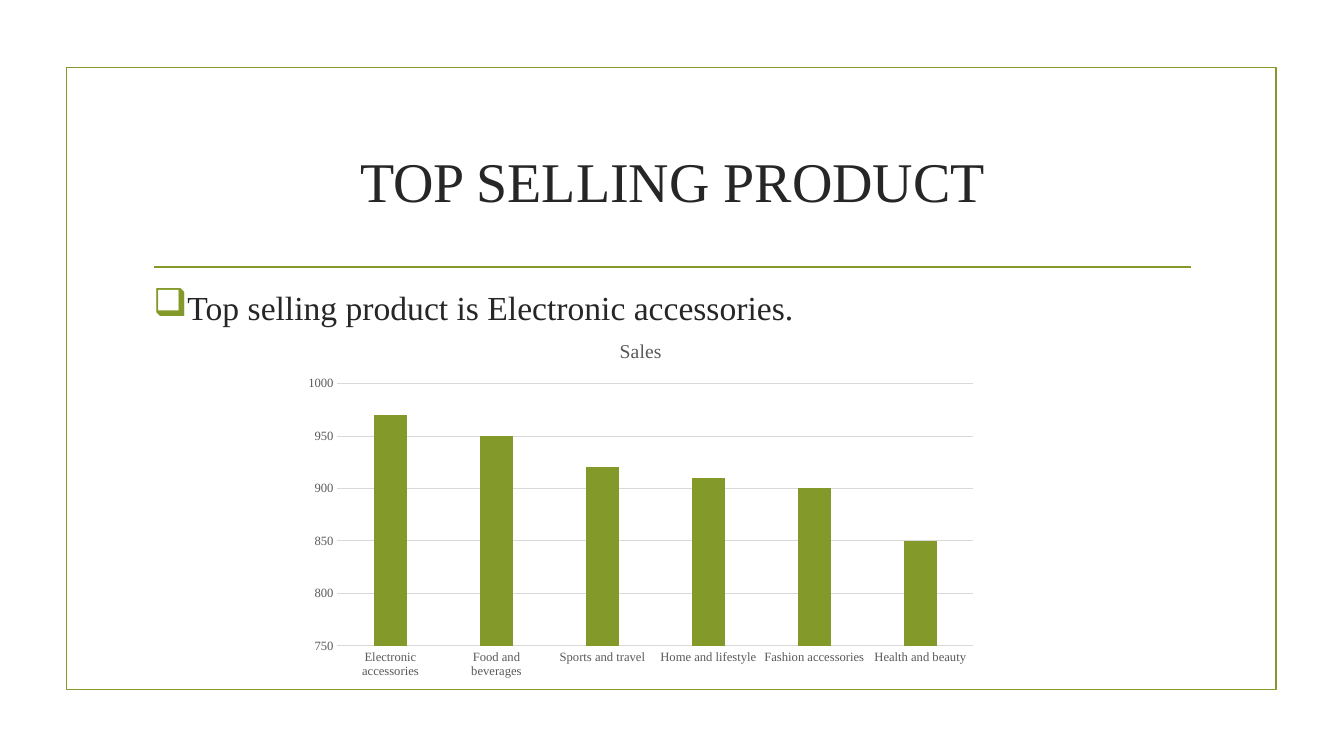
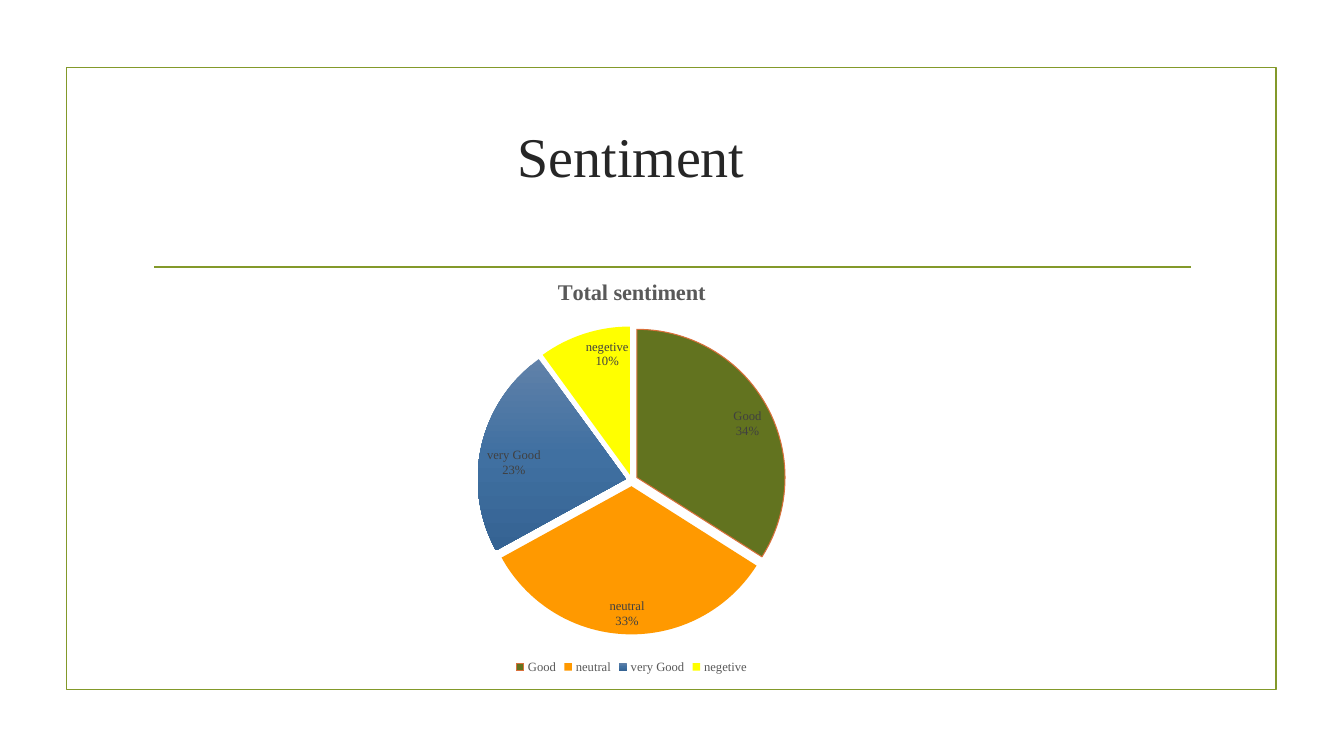
import copy

import pptx
import pptx.chart.data
import pptx.dml.color
import pptx.enum.chart
import pptx.enum.shapes
import pptx.enum.text
import pptx.oxml
import pptx.oxml.ns
import pptx.util

Inches = pptx.util.Inches
Pt = pptx.util.Pt
RGBColor = pptx.dml.color.RGBColor
qn = pptx.oxml.ns.qn

OLIVE = RGBColor(0x83, 0x99, 0x2A)
DARK_OLIVE = RGBColor(0x62, 0x73, 0x1F)
ORANGE = RGBColor(0xFF, 0x99, 0x00)
RUST = RGBColor(0xD9, 0x70, 0x3A)
YELLOW = RGBColor(0xFF, 0xFF, 0x00)
BLUES = [
    (0, RGBColor(0x60, 0x81, 0xA9)),
    (0.5, RGBColor(0x40, 0x70, 0xA1)),
    (1, RGBColor(0x35, 0x63, 0x93)),
]
INK = RGBColor(0x26, 0x26, 0x26)
LABEL_GRAY = RGBColor(0x40, 0x40, 0x40)
CHART_GRAY = RGBColor(0x59, 0x59, 0x59)
GRID_GRAY = RGBColor(0xD9, 0xD9, 0xD9)
FONT = "Times New Roman"


def apply(target, values):
    for name, value in values.items():
        setattr(target, name, value)


def add_xml(parent, tag, **attributes):
    element = pptx.oxml.parse_xml(f"<{tag} {pptx.oxml.ns.nsdecls(tag[0])}/>")
    for name, value in attributes.items():
        element.set(name, str(value))
    parent.append(element)
    return element


class Deck:
    def __init__(self):
        self.presentation = pptx.Presentation()
        apply(self.presentation, {"slide_width": Inches(13.33), "slide_height": Inches(7.5)})
        self.slide = None

    def style_font(self, font, size, color, bold=False):
        apply(font, {"name": FONT, "size": Pt(size), "bold": bold})
        font.color.rgb = color

    def style_line(self, line, color, width):
        line.color.rgb = color
        line.width = Pt(width)

    def add_slide(self, title, left, top):
        self.slide = self.presentation.slides.add_slide(self.presentation.slide_layouts[5])
        self.add_frame()
        self.add_rule()
        shape = self.slide.shapes.title
        apply(shape, {
            "left": Inches(left), "top": Inches(top),
            "width": Inches(10.5), "height": Inches(1.43),
        })
        frame = shape.text_frame
        apply(frame, {
            "text": title, "word_wrap": True,
            "auto_size": pptx.enum.text.MSO_AUTO_SIZE.NONE,
            "vertical_anchor": pptx.enum.text.MSO_ANCHOR.MIDDLE,
        })
        paragraph = frame.paragraphs[0]
        paragraph.alignment = pptx.enum.text.PP_ALIGN.CENTER
        self.style_font(paragraph.runs[0].font, 40, INK)

    def add_frame(self):
        frame = self.slide.shapes.add_shape(
            pptx.enum.shapes.MSO_SHAPE.RECTANGLE,
            Inches(0.66), Inches(0.67), Inches(12), Inches(6.17),
        )
        frame.shadow.inherit = False
        frame.fill.background()
        self.style_line(frame.line, OLIVE, 1.25)

    def add_rule(self):
        rule = self.slide.shapes.add_connector(
            pptx.enum.shapes.MSO_CONNECTOR.STRAIGHT,
            Inches(1.53), Inches(2.65), Inches(11.81), Inches(2.65),
        )
        self.style_line(rule.line, OLIVE, 1.25)
        add_xml(rule._element.spPr, "a:effectLst")

    def add_bullet(self, text, left, top, width, height):
        box = self.slide.shapes.add_textbox(
            Inches(left), Inches(top), Inches(width), Inches(height)
        )
        box.text_frame.word_wrap = True
        paragraph = box.text_frame.paragraphs[0]
        apply(paragraph, {"text": text, "space_before": Pt(5), "space_after": Pt(6)})
        self.style_font(paragraph.runs[0].font, 24, INK)
        properties = paragraph._p.get_or_add_pPr()
        apply_indent = {"marL": Inches(0.31), "indent": -Inches(0.31)}
        for name, value in apply_indent.items():
            properties.set(name, str(value))
        add_xml(add_xml(properties, "a:buClr"), "a:srgbClr", val=OLIVE)
        add_xml(properties, "a:buSzPct", val=115000)
        add_xml(properties, "a:buChar", char="❑")

    def add_chart(self, kind, title, points, box, title_size, bold=False):
        data = pptx.chart.data.CategoryChartData()
        data.categories = points.keys()
        data.add_series(title, points.values())
        chart = self.slide.shapes.add_chart(kind, *map(Inches, box), data).chart
        self.style_font(chart.font, 10, RGBColor(0, 0, 0))
        chart.has_title = True
        frame = chart.chart_title.text_frame
        frame.text = title
        self.style_font(frame.paragraphs[0].runs[0].font, title_size, CHART_GRAY, bold)
        return chart

    def add_columns(self, title, points, box):
        chart = self.add_chart(
            pptx.enum.chart.XL_CHART_TYPE.COLUMN_CLUSTERED, title, points, box, 14
        )
        chart.has_legend = False
        plot = chart.plots[0]
        apply(plot, {"gap_width": 219, "overlap": -27, "vary_by_categories": False})
        fill = plot.series[0].format.fill
        fill.solid()
        fill.fore_color.rgb = OLIVE
        for axis in (chart.category_axis, chart.value_axis):
            axis.major_tick_mark = pptx.enum.chart.XL_TICK_MARK.NONE
            self.style_font(axis.tick_labels.font, 9, CHART_GRAY)
        self.style_line(chart.category_axis.format.line, GRID_GRAY, 0.75)
        axis = chart.value_axis
        apply(axis, {"minimum_scale": 750, "maximum_scale": 1000, "major_unit": 50})
        axis.format.line.fill.background()
        self.style_line(axis.major_gridlines.format.line, GRID_GRAY, 0.75)

    def add_pie(self, title, points, fills, box):
        chart = self.add_chart(
            pptx.enum.chart.XL_CHART_TYPE.PIE, title, points, box, 16, True
        )
        chart.has_legend = True
        apply(chart.legend, {
            "position": pptx.enum.chart.XL_LEGEND_POSITION.BOTTOM,
            "include_in_layout": False,
        })
        self.style_font(chart.legend.font, 9, CHART_GRAY)
        plot = chart.plots[0]
        plot.vary_by_categories = True
        series = plot.series[0]
        for index, color in enumerate(fills):
            fill = series.points[index].format.fill
            if isinstance(color, list):
                self.fill_gradient(fill, series, color)
            else:
                fill.solid()
                fill.fore_color.rgb = color
        self.style_line(series.points[0].format.line, RUST, 0.75)
        explosion = add_xml(series._element, "c:explosion", val=4)
        series._element.find(qn("c:tx")).addnext(explosion)
        plot.has_data_labels = True
        labels = plot.data_labels
        apply(labels, {
            "show_percentage": True, "show_category_name": True, "show_value": False,
            "number_format": "0%", "number_format_is_linked": False,
            "position": pptx.enum.chart.XL_LABEL_POSITION.INSIDE_END,
        })
        self.style_font(labels.font, 9, LABEL_GRAY)

    def fill_gradient(self, fill, series, stops):
        fill.gradient()
        fill.gradient_angle = 270
        stop_list = series._element.find(f".//{qn('a:gsLst')}")
        while len(stop_list) < len(stops):
            stop_list.append(copy.deepcopy(stop_list[-1]))
        for stop, (position, color) in zip(fill.gradient_stops, stops):
            stop.position = position
            stop.color.rgb = color


def main():
    deck = Deck()
    deck.add_slide("TOP SELLING PRODUCT", 1.42, 1.07)
    deck.add_bullet("Top selling product is Electronic accessories.", 1.42, 2.8, 10.5, 3.63)
    sales = {
        "Electronic accessories": 970,
        "Food and beverages": 950,
        "Sports and travel": 920,
        "Home and lifestyle": 910,
        "Fashion accessories": 900,
        "Health and beauty": 850,
    }
    deck.add_columns("Sales", sales, (2.92, 3.2, 6.87, 3.61))

    deck.add_slide("Sentiment", 1.01, 0.82)
    sentiment = {"Good": 34, "neutral": 33, "very Good": 23, "negetive": 10}
    fills = [DARK_OLIVE, ORANGE, BLUES, YELLOW]
    deck.add_pie("Total sentiment", sentiment, fills, (2.7, 2.58, 7.13, 4.15))
    deck.presentation.save("out.pptx")


if __name__ == "__main__":
    main()
